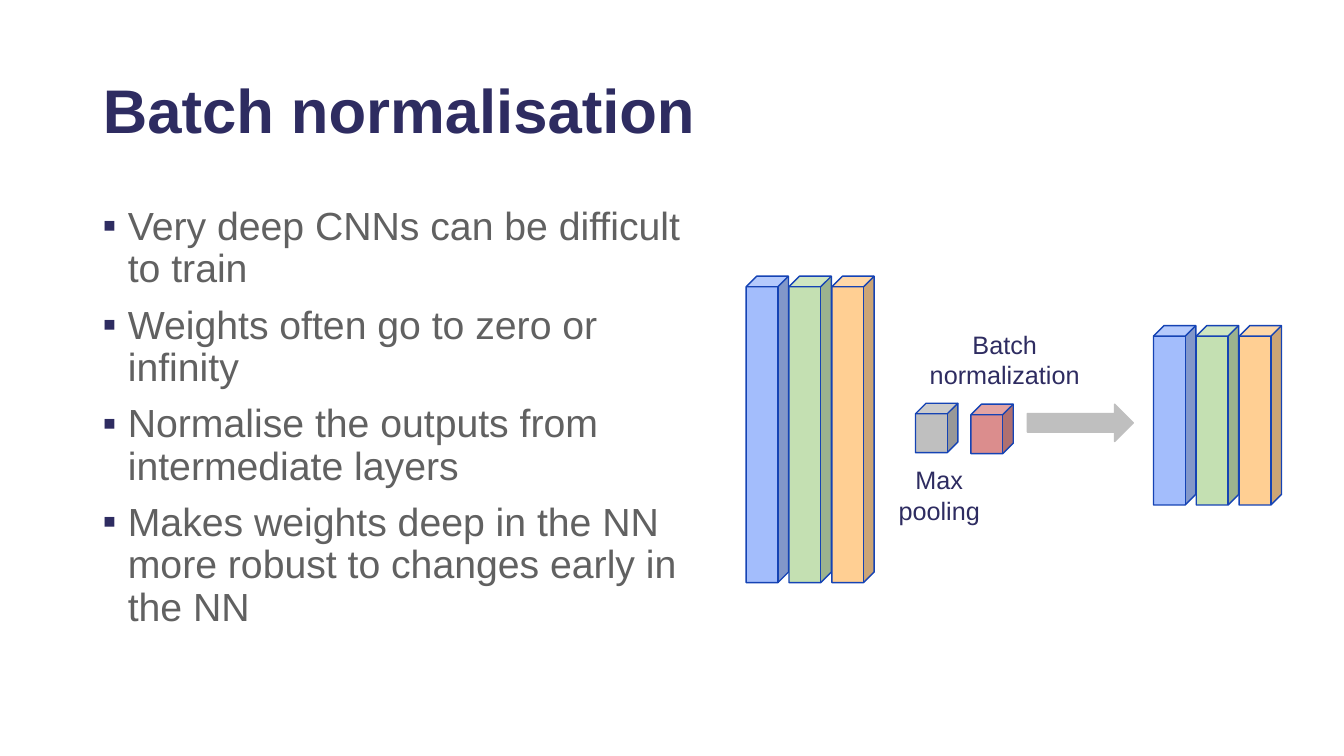
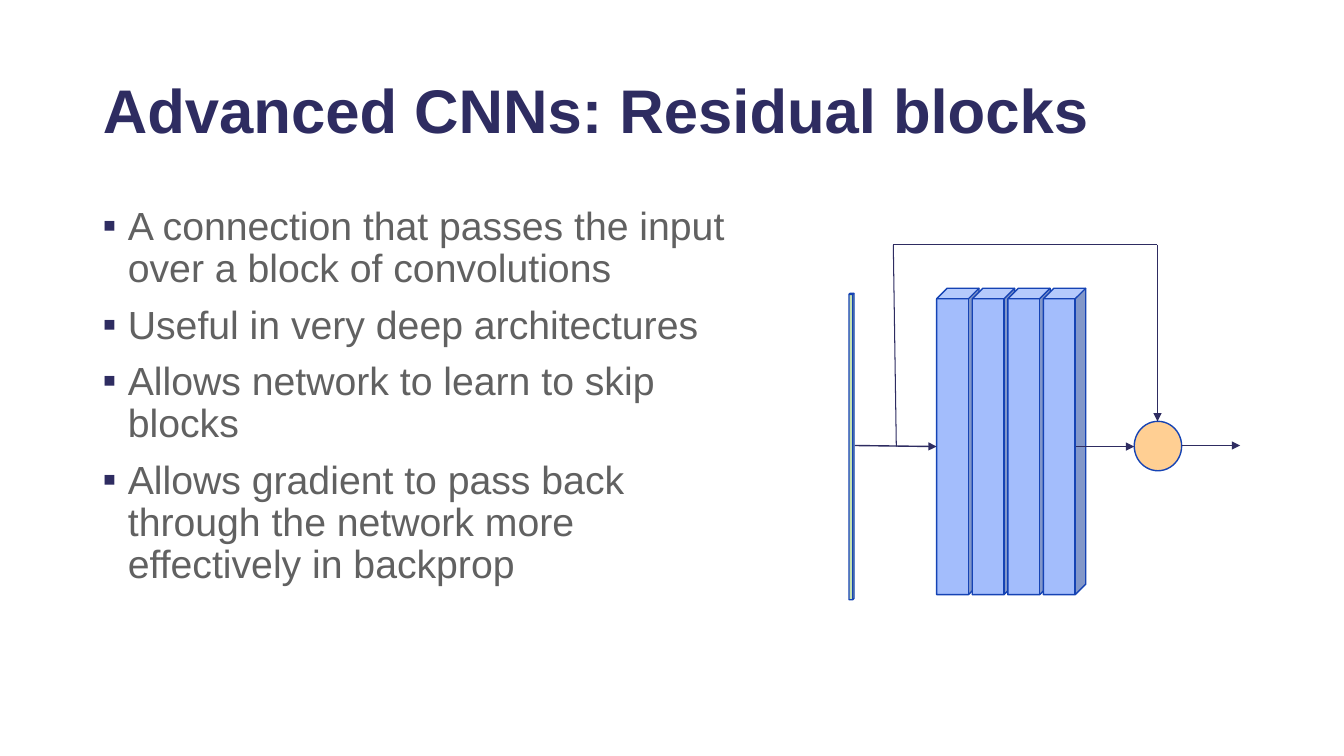
from lxml.etree import SubElement
from pptx import Presentation
from pptx.dml.color import RGBColor
from pptx.enum.shapes import MSO_CONNECTOR, MSO_SHAPE
from pptx.enum.text import MSO_ANCHOR, MSO_AUTO_SIZE, PP_ALIGN
from pptx.oxml.ns import qn
from pptx.util import Inches, Pt

FONT = "Arial"
COLORS = {
    "navy": "2E2C61", "text": "616161", "outline": "1543B4", "blue": "A3BDFC",
    "green": "C4E0B2", "orange": "FFCF93", "gray": "BFBFBF", "red": "DB8D8D",
}
TITLE = {"size": Pt(44), "bold": True, "color": "navy"}
BODY = {"size": Pt(28), "color": "text"}
LABEL = {"size": Pt(18), "color": "navy"}
LEFT, CUBE_W, STACK_H, UNIT_H = 0.92, 0.42, 3.04, 0.49

# Content
NORM_TITLE = "Batch normalisation"
NORM_POINTS = [
    "Very deep CNNs can be difficult to train",
    "Weights often go to zero or infinity",
    "Normalise the outputs from intermediate layers",
    "Makes weights deep in the NN more robust to changes early in the NN",
]
CHANNELS = ["blue", "green", "orange"]
CHANNEL_STEP = 0.425
STACKS = [(7.4, 2.74, STACK_H), (11.44, 3.23, 1.78)]  # left, top, height
OPERATIONS = [(9.08, 4, "gray"), (9.63, 4.01, "red")]  # left, top, colour
LABELS = [("Max pooling", (8.61, 4.56, 1.41, 0.71)),
          ("Batch normalization", (9.08, 3.22, 1.77, 0.71))]

RES_TITLE = "Advanced CNNs: Residual blocks"
RES_POINTS = [
    "A connection that passes the input over a block of convolutions",
    "Useful in very deep architectures",
    "Allows network to learn to skip blocks",
    "Allows gradient to pass back through the network more effectively in backprop",
]
CONVOLUTIONS, CONV_STEP = 4, 0.353
FLOW_Y, SKIP_Y, SUM_X = 4.43, 2.43, 11.48
ARROWS = [
    ((8.48, 4.42), (9.29, FLOW_Y)),
    ((SUM_X, SKIP_Y), (SUM_X, 4.18)),
    ((10.67, FLOW_Y), (11.25, FLOW_Y)),
    ((11.72, 4.42), (12.3, 4.42)),
]
SKIP_LINES = [((SUM_X, SKIP_Y), (8.86, SKIP_Y)), ((8.89, FLOW_Y), (8.86, SKIP_Y))]


def rgb(name):
    return RGBColor.from_string(COLORS[name])


def inches(values):
    return [Inches(v) for v in values]


def write(p, text, style):
    r = p.add_run()
    r.text = text
    r.font.name = FONT
    for key, value in style.items():
        if key == "color":
            r.font.color.rgb = rgb(value)
        else:
            setattr(r.font, key, value)


def add_bullet(p):
    pPr = p._p.get_or_add_pPr()
    pPr.set("marL", str(Inches(0.25)))
    pPr.set("indent", str(-Inches(0.25)))
    color = SubElement(pPr, qn("a:buClr"))
    SubElement(color, qn("a:srgbClr"), val=COLORS["navy"])
    SubElement(pPr, qn("a:buFont"), typeface=FONT)
    SubElement(pPr, qn("a:buChar"), char="▪")


def add_text_box(s, box):
    tf = s.shapes.add_textbox(*inches(box)).text_frame
    tf.word_wrap = True
    return tf


def add_slide(prs, title, points, body_width):
    s = prs.slides.add_slide(prs.slide_layouts[5])
    # Title
    sp = s.shapes.title
    sp.left, sp.top, sp.width, sp.height = inches((LEFT, 0.4, 11.5, 1.45))
    tf = sp.text_frame
    tf.auto_size = MSO_AUTO_SIZE.NONE
    tf.vertical_anchor = MSO_ANCHOR.MIDDLE
    p = tf.paragraphs[0]
    p.alignment, p.line_spacing = PP_ALIGN.LEFT, 0.9
    write(p, title, TITLE)
    # Bullets
    tf = add_text_box(s, (LEFT, 2, body_width, 4.76))
    for i, point in enumerate(points):
        p = tf.add_paragraph() if i else tf.paragraphs[0]
        p.line_spacing = 0.9
        p.space_before = Pt(10 if i else 0)
        add_bullet(p)
        write(p, point, BODY)
    return s


def add_part(s, kind, box, fill, line="outline"):
    sp = s.shapes.add_shape(kind, *inches(box))
    sp.shadow.inherit = False
    sp.fill.solid()
    sp.fill.fore_color.rgb = rgb(fill)
    sp.line.color.rgb = rgb(line)
    sp.line.width = Pt(1)


def add_cubes(s, left, top, height, fills, step=0, width=CUBE_W):
    for i, fill in enumerate(fills):
        add_part(s, MSO_SHAPE.CUBE, (left + i * step, top, width, height), fill)


def add_line(s, start, end, width, arrow=False):
    c = s.shapes.add_connector(MSO_CONNECTOR.STRAIGHT, *inches(start + end))
    c.line.color.rgb = rgb("navy")
    c.line.width = Pt(width)
    if arrow:
        SubElement(c.line._get_or_add_ln(), qn("a:tailEnd"), type="triangle")
    SubElement(c._element.spPr, qn("a:effectLst"))


def build_normalisation(prs):
    s = add_slide(prs, NORM_TITLE, NORM_POINTS, 6.27)
    for left, top, height in STACKS:
        add_cubes(s, left, top, height, CHANNELS, CHANNEL_STEP)
    for left, top, fill in OPERATIONS:
        add_cubes(s, left, top, UNIT_H, [fill])
    add_part(s, MSO_SHAPE.RIGHT_ARROW, (10.19, 4.01, 1.05, 0.37), "gray", "gray")
    for text, box in LABELS:
        p = add_text_box(s, box).paragraphs[0]
        p.alignment = PP_ALIGN.CENTER
        write(p, text, LABEL)


def build_residual(prs):
    s = add_slide(prs, RES_TITLE, RES_POINTS, 6.69)
    # Input, sum node and convolution block
    add_cubes(s, 8.42, 2.91, STACK_H, ["green"], width=0.05)
    add_part(s, MSO_SHAPE.OVAL, (11.25, 4.18, 0.47, UNIT_H), "orange")
    add_cubes(s, 9.29, 2.86, STACK_H, ["blue"] * CONVOLUTIONS, CONV_STEP)
    # Data flow and skip connection
    for start, end in ARROWS:
        add_line(s, start, end, 1, arrow=True)
    for start, end in SKIP_LINES:
        add_line(s, start, end, 0.75)


def main():
    prs = Presentation()
    prs.slide_width, prs.slide_height = inches((13.33, 7.5))
    build_normalisation(prs)
    build_residual(prs)
    prs.save("out.pptx")


if __name__ == "__main__":
    main()
